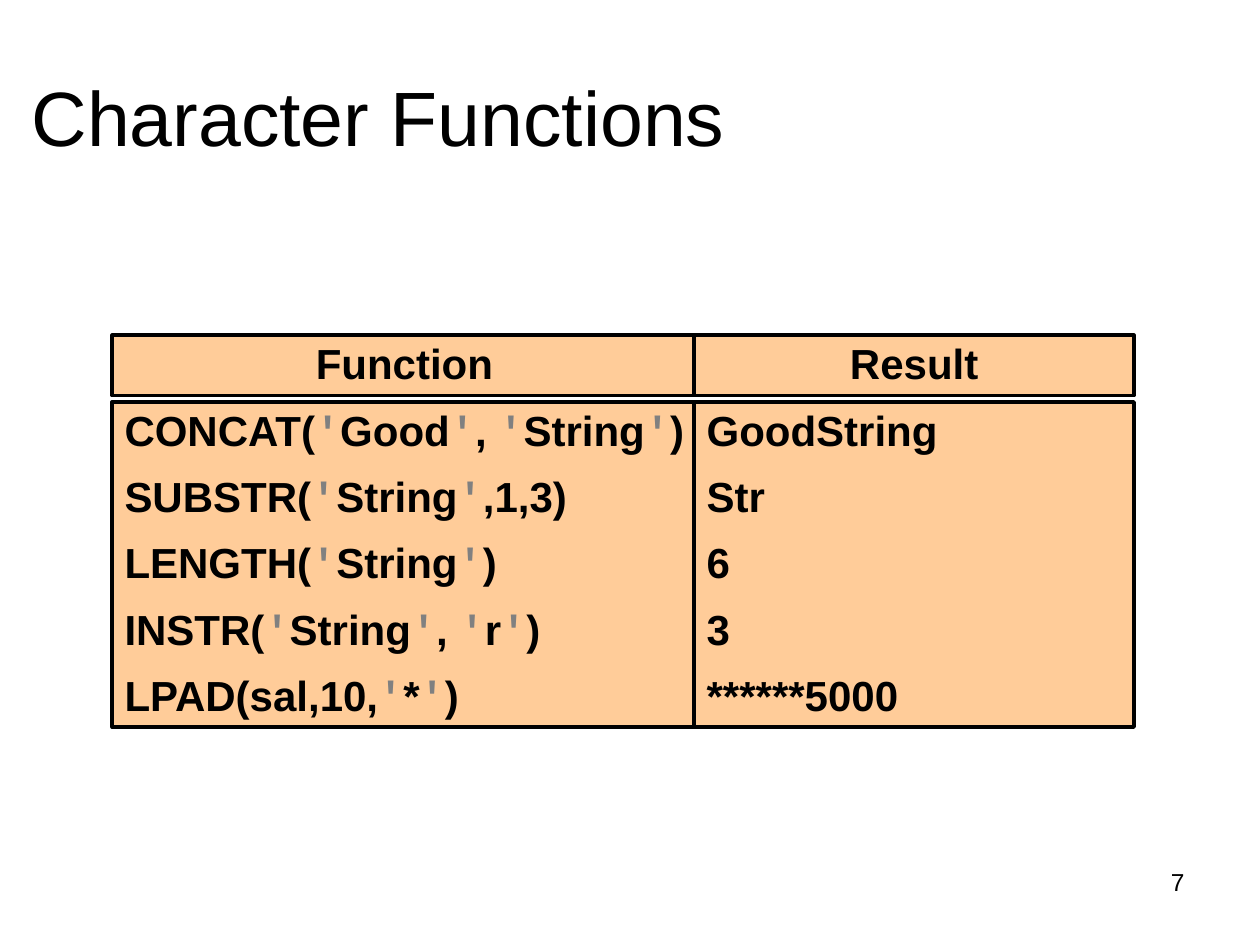
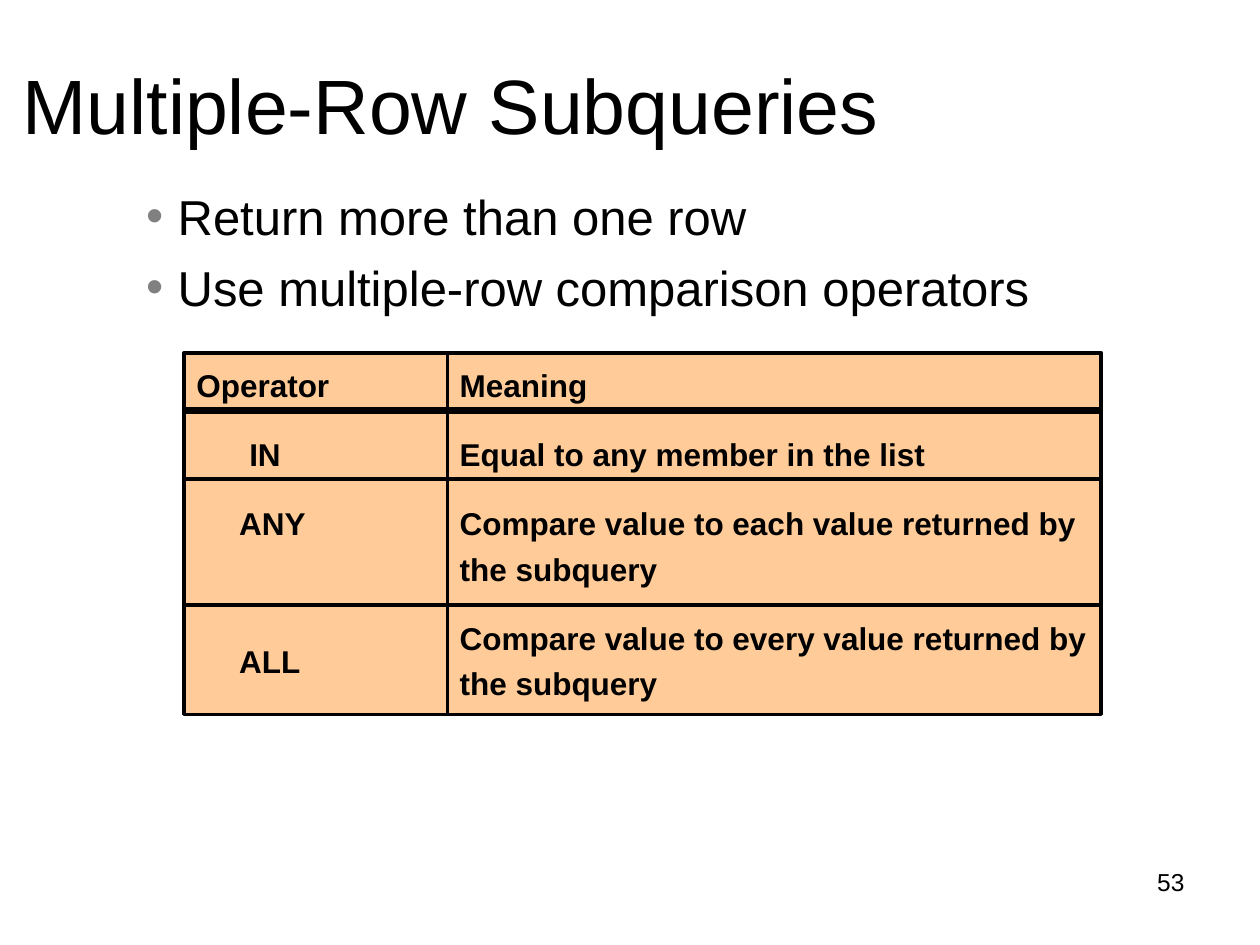
from dataclasses import dataclass
from itertools import groupby
from typing import NamedTuple

from pptx import Presentation
from pptx.dml.color import RGBColor as Color
from pptx.enum.shapes import MSO_CONNECTOR as Link, MSO_SHAPE as Kind
from pptx.enum.text import MSO_ANCHOR as Anchor, MSO_AUTO_SIZE as Fit, PP_ALIGN as Align
from pptx.oxml.xmlchemy import OxmlElement as Node
from pptx.util import Inches, Pt

WIDE, HIGH = Inches(10), Inches(7.5)
COLS, ROWS = 100, 75


@dataclass(frozen=True)
class Theme:
    ink: Color = Color(0, 0, 0)
    grey: Color = Color(0x80, 0x80, 0x80)
    peach: Color = Color(0xFF, 0xCC, 0x99)
    sans: str = "Arial"
    mono: str = "Courier New"
    title: int = 44
    body: int = 28
    code: int = 24
    cell: int = 18
    foot: int = 14
    rule: int = 2
    thick: int = 4


THEME = Theme()


class Box(NamedTuple):
    col: float
    row: float
    cols: float
    rows: float


class Line(NamedTuple):
    text: str
    inset: float = 0
    gap: float | None = None


@dataclass(frozen=True)
class Look:
    size: int
    bold: bool = False
    align: Align = Align.LEFT
    pitch: float = 1.0
    gap: float = 0
    top: float = 0.05
    dots: bool = False


TITLE = Look(THEME.title, top=0.13)
LIST = Look(THEME.body, gap=7, top=0.1, dots=True)
HEAD = Look(THEME.code, True, Align.CENTER, 0.95)
CODE = Look(THEME.code, True, pitch=0.95, gap=10.5)
CELL = Look(THEME.cell, True, pitch=1.2, gap=13.5)
FOOT = Look(THEME.foot, align=Align.RIGHT)
FOOT_BOX = Box(71.7, 68.3, 23.3, 5.2)


def across(cols: float) -> int:
    return round(WIDE * cols / COLS)


def down(rows: float) -> int:
    return round(HIGH * rows / ROWS)


def frame(box: Box) -> tuple[int, int, int, int]:
    return across(box.col), down(box.row), across(box.cols), down(box.rows)


def assign(target, values: dict) -> None:
    for name, value in values.items():
        setattr(target, name, value)


def place(shape, box: Box) -> None:
    assign(shape, dict(zip(("left", "top", "width", "height"), frame(box))))


def indent(par, left: float, first: float) -> None:
    props = par._p.get_or_add_pPr()
    props.set("marL", str(Inches(left)))
    props.set("indent", str(Inches(first)))


def bullet(par) -> None:
    props = par._p.get_or_add_pPr()
    tint, tone, mark = Node("a:buClr"), Node("a:srgbClr"), Node("a:buChar")
    tone.set("val", str(THEME.grey))
    mark.set("char", "•")
    tint.append(tone)
    props.append(tint)
    props.append(mark)


def write(shape, lines: list[Line], look: Look) -> None:
    text = shape.text_frame
    assign(text, {
        "word_wrap": True, "auto_size": Fit.NONE, "vertical_anchor": Anchor.TOP,
        "margin_left": Inches(0.1), "margin_right": Inches(0.1),
        "margin_top": Inches(look.top), "margin_bottom": Inches(0.05),
    })
    for rank, line in enumerate(lines):
        par = text.add_paragraph() if rank else text.paragraphs[0]
        gap = look.gap if line.gap is None else line.gap
        if look.dots:
            par.level = 1
            indent(par, 0.37, -0.25)
            bullet(par)
        else:
            indent(par, line.inset, 0)
        assign(par, {
            "alignment": look.align, "line_spacing": look.pitch,
            "space_before": Pt(gap if rank else 0), "space_after": Pt(0),
        })
        for quote, chars in groupby(line.text, lambda char: char == "'"):
            run = par.add_run()
            run.text = "".join(chars)
            assign(run.font, {
                "name": THEME.mono if quote else THEME.sans,
                "size": Pt(look.size), "bold": look.bold,
            })
            run.font.color.rgb = THEME.grey if quote else THEME.ink


def panel(slide, box: Box, lines: list[Line], look: Look) -> None:
    shape = slide.shapes.add_shape(Kind.RECTANGLE, *frame(box))
    shape.shadow.inherit = False
    shape.fill.solid()
    shape.fill.fore_color.rgb = THEME.peach
    shape.line.color.rgb = THEME.ink
    shape.line.width = Pt(THEME.rule)
    write(shape, lines, look)


def rule(slide, left: float, right: float, row: float, width: int) -> None:
    link = slide.shapes.add_connector(
        Link.STRAIGHT, across(left), down(row), across(right), down(row))
    link.line.color.rgb = THEME.ink
    link.line.width = Pt(width)
    link._element.spPr.append(Node("a:effectLst"))


def start(deck, layout: int, title: str, box: Box, page: int):
    slide = deck.slides.add_slide(deck.slide_layouts[layout])
    place(slide.shapes.title, box)
    write(slide.shapes.title, [Line(title)], TITLE)
    foot = slide.shapes.add_textbox(*frame(FOOT_BOX))
    write(foot, [Line(str(page))], FOOT)
    return slide


def char_slide(deck) -> None:
    slide = start(deck, 5, "Character Functions", Box(1.5, 4.2, 85.1, 9.6), 7)
    pairs = [
        ("CONCAT('Good', 'String')", "GoodString"),
        ("SUBSTR('String',1,3)", "Str"),
        ("LENGTH('String')", "6"),
        ("INSTR('String', 'r')", "3"),
        ("LPAD(sal,10,'*')", "******5000"),
    ]
    calls, values = ([Line(text) for text in side] for side in zip(*pairs))
    left, right, top, low = 8.9, 55.1, 26.6, 31.9
    panel(slide, Box(left, low, 47.6, 25.8), calls, CODE)
    panel(slide, Box(right, low, 34.9, 25.8), values, CODE)
    panel(slide, Box(left, top, 46.4, 4.8), [Line("Function")], HEAD)
    panel(slide, Box(right, top, 34.9, 4.8), [Line("Result")], HEAD)


def query_slide(deck) -> None:
    slide = start(deck, 1, "Multiple-Row Subqueries", Box(0.8, 3.3, 85, 12.5), 53)
    body = slide.placeholders[1]
    place(body, Box(9.4, 13.8, 83.9, 11.3))
    write(body, [
        Line("Return more than one row"),
        Line("Use multiple-row comparison operators"),
    ], LIST)
    left, top, rows = 14.6, 28, 28.7
    panel(slide, Box(left, top, 21.2, rows), [
        Line("Operator"),
        Line("IN", 0.42),
        Line("ANY", 0.34),
        Line("ALL", 0.34, 52.9),
    ], CELL)
    panel(slide, Box(35.5, top, 51.9, rows), [
        Line("Meaning"),
        Line("Equal to any member in the list"),
        Line("Compare value to each value returned by the subquery"),
        Line("Compare value to every value returned by the subquery"),
    ], CELL)
    for row, width in ((32.6, THEME.thick), (38, THEME.rule), (48, THEME.rule)):
        rule(slide, left, 87.3, row, width)


def main() -> None:
    deck = Presentation()
    assign(deck, {"slide_width": WIDE, "slide_height": HIGH})
    char_slide(deck)
    query_slide(deck)
    deck.save("out.pptx")


if __name__ == "__main__":
    main()
